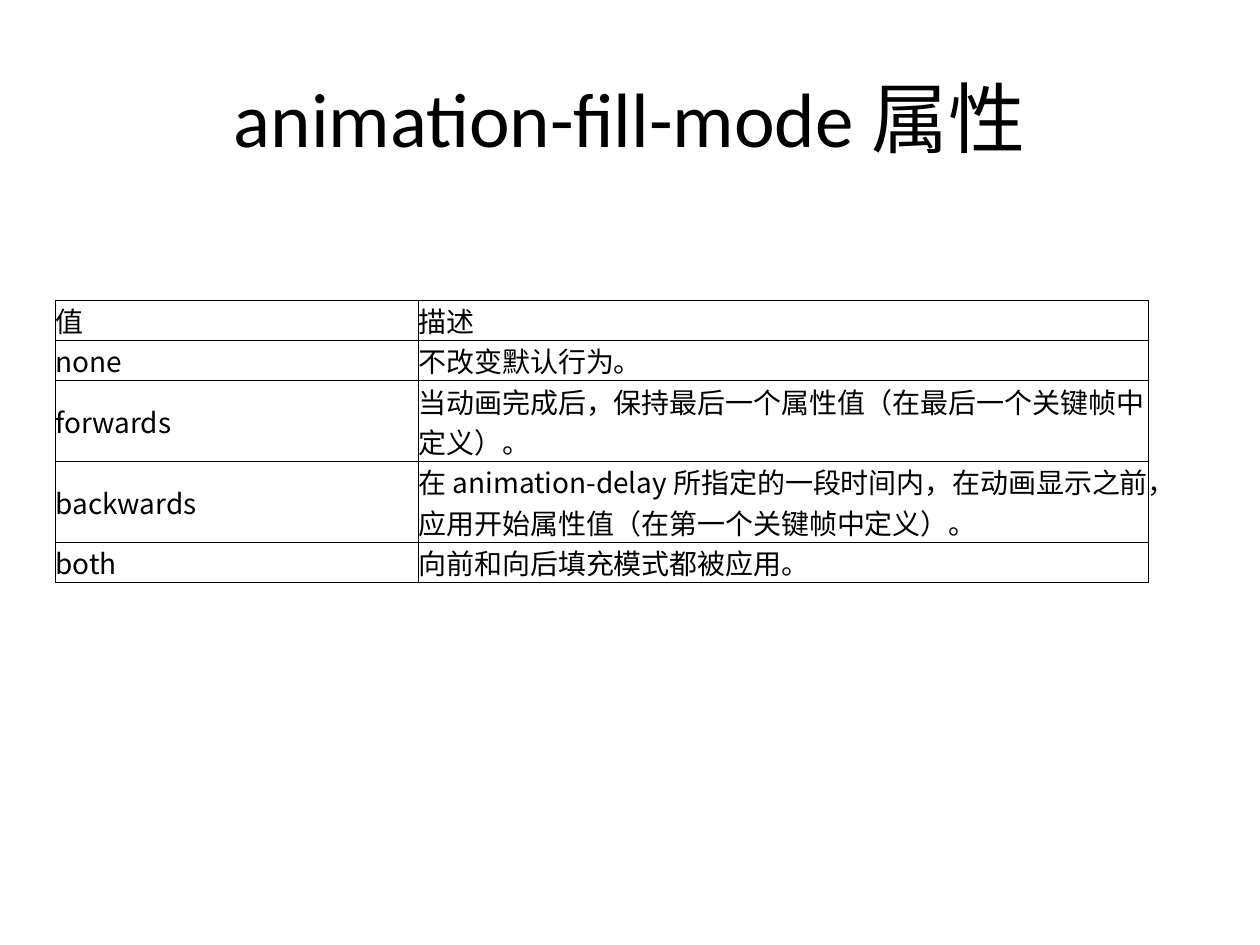
from lxml.etree import SubElement
from pptx import Presentation
from pptx.dml.color import RGBColor
from pptx.enum.text import MSO_ANCHOR, PP_ALIGN
from pptx.oxml.ns import qn
from pptx.util import Cm, Pt

ROWS = [
    ("值", "描述"),
    ("none", "不改变默认行为。"),
    ("forwards", "当动画完成后，保持最后一个属性值（在最后一个关键帧中定义）。"),
    ("backwards", "在 animation-delay 所指定的一段时间内，在动画显示之前，"
                  "应用开始属性值（在第一个关键帧中定义）。"),
    ("both", "向前和向后填充模式都被应用。"),
]
LINES = [1, 1, 2, 2, 1]  # text lines in each row


def color(code):
    return RGBColor.from_string(code)


class Deck:
    ink = "000000"
    latin = "Calibri"
    han = "Noto Sans CJK SC"
    line = 0.74  # row height per text line, cm

    def __init__(self):
        self.prs = Presentation()
        self.prs.slide_width, self.prs.slide_height = Cm(25.4), Cm(19.05)
        self.slide = self.prs.slides.add_slide(self.prs.slide_layouts[5])

    def style(self, para, size, face):
        font = para.font
        font.size, font.name = Pt(size), face
        font.color.rgb = color(self.ink)
        props = para._p.pPr.find(qn("a:defRPr"))
        SubElement(props, qn("a:ea"), typeface=self.han)

    def title(self, text, x, y, w, h):
        box = self.slide.shapes.title
        box.left, box.top, box.width, box.height = Cm(x), Cm(y), Cm(w), Cm(h)
        frame = box.text_frame
        frame.text = text
        frame.vertical_anchor = MSO_ANCHOR.MIDDLE
        para = frame.paragraphs[0]
        para.alignment = PP_ALIGN.CENTER
        self.style(para, 44, self.latin)

    def border(self, cell):
        props = cell._tc.get_or_add_tcPr()
        for index, side in enumerate(("lnL", "lnR", "lnT", "lnB")):
            edge = SubElement(props, qn(f"a:{side}"), w=str(Pt(0.5)))
            fill = SubElement(edge, qn("a:solidFill"))
            SubElement(fill, qn("a:srgbClr"), val=self.ink)
            props.insert(index, edge)  # borders come before the fill

    def cell(self, cell, text):
        cell.text = text
        cell.fill.background()
        cell.vertical_anchor = MSO_ANCHOR.MIDDLE
        cell.margin_left = cell.margin_right = 0
        cell.margin_top = cell.margin_bottom = 0
        self.style(cell.text_frame.paragraphs[0], 16, self.han)
        self.border(cell)

    def table(self, rows, lines, x, y, widths):
        table = self.slide.shapes.add_table(
            len(rows), len(widths), Cm(x), Cm(y),
            Cm(sum(widths)), Cm(self.line * sum(lines))).table
        table.first_row = table.horz_banding = False
        for col, width in zip(table.columns, widths):
            col.width = Cm(width)
        for row, texts, count in zip(table.rows, rows, lines):
            row.height = Cm(self.line * count)
            for cell, text in zip(row.cells, texts):
                self.cell(cell, text)


def main():
    deck = Deck()
    # Heading
    deck.title("animation-fill-mode 属性", 1.27, 0.76, 22.86, 3.18)
    # Values and their meaning
    deck.table(ROWS, LINES, 1.12, 6.05, (7.32, 14.71))
    deck.prs.save("out.pptx")


if __name__ == "__main__":
    main()
